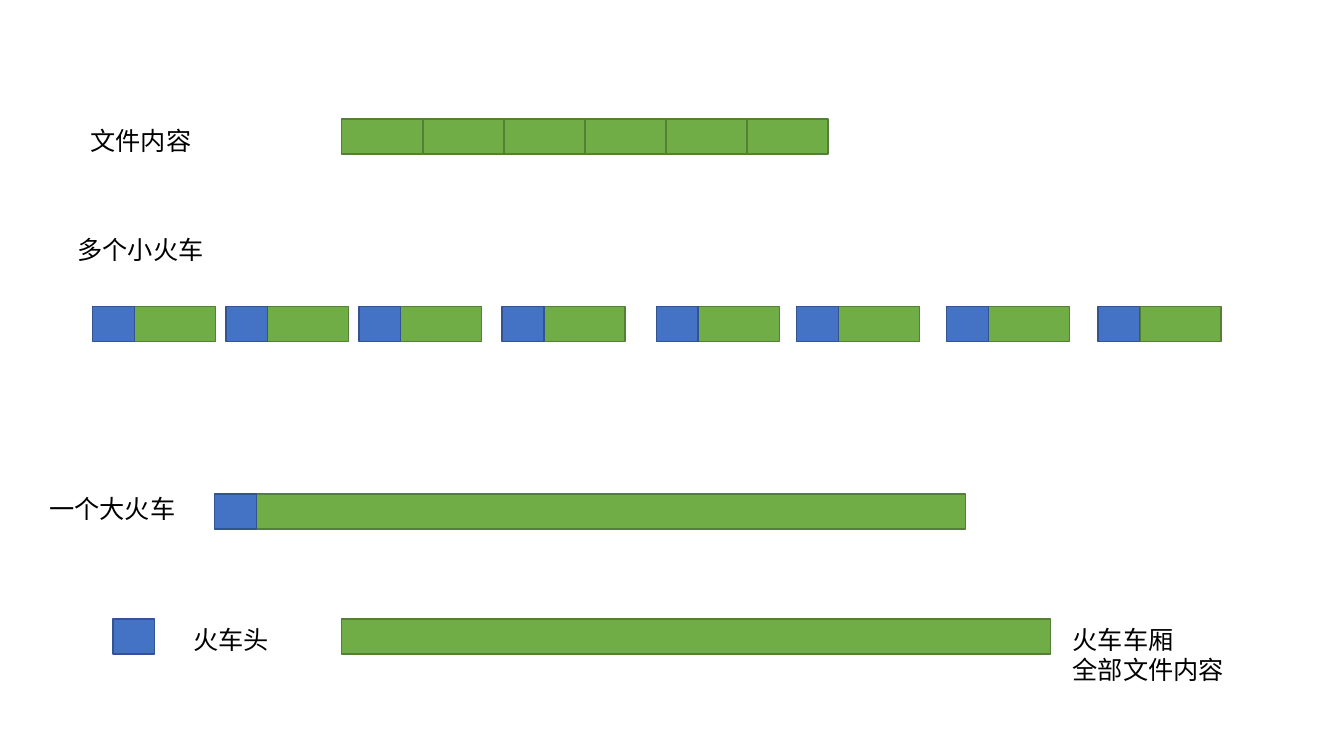
from lxml import etree
from pptx import Presentation
from pptx.dml.color import RGBColor
from pptx.enum.shapes import MSO_SHAPE
from pptx.enum.text import MSO_AUTO_SIZE
from pptx.oxml.ns import qn
from pptx.util import Inches, Pt

RECT = MSO_SHAPE.RECTANGLE
GROW = MSO_AUTO_SIZE.SHAPE_TO_FIT_TEXT
FONT = "Noto Sans CJK SC"
COLORS = {
    "head": "4472C4",
    "head_edge": "325491",
    "car": "70AD47",
    "car_edge": "538035",
    "text": "000000",
}
HEAD = 0.415
CAR = 0.804
LONG = 7.03
HIGH = 0.35
FILE_TOP = 1.18
SMALL_TOP = 3.04
BIG_TOP = 4.9
KEY_TOP = 6.14
BAR_LEFT = 3.39
TRAINS = [0.92, 2.24, 3.56, 4.98, 6.51, 7.9, 9.39, 10.89]
LABELS = [
    (0.8, 1.19, 1.21, 0.4, ["文件内容"]),
    (0.67, 2.28, 1.46, 0.4, ["多个小火车"]),
    (0.39, 4.84, 1.46, 0.4, ["一个大火车"]),
    (1.82, 6.14, 0.96, 0.4, ["火车头"]),
    (10.54, 6.14, 1.72, 0.71, ["火车车厢", "全部文件内容"]),
]


def color(name):
    return RGBColor.from_string(COLORS[name])


def add_block(slide, kind, left, top, width):
    block = slide.shapes.add_shape(
        RECT, Inches(left), Inches(top), Inches(width), Inches(HIGH))
    block.shadow.inherit = False
    block.fill.solid()
    block.fill.fore_color.rgb = color(kind)
    block.line.color.rgb = color(kind + "_edge")
    block.line.width = Pt(1)


def add_train(slide, left, top, width):
    add_block(slide, "car", left + HEAD, top, width)
    add_block(slide, "head", left, top, HEAD)


def add_label(slide, left, top, width, height, lines):
    box = slide.shapes.add_textbox(
        Inches(left), Inches(top), Inches(width), Inches(height))
    frame = box.text_frame
    frame.word_wrap = False
    frame.auto_size = GROW
    for i, line in enumerate(lines):
        para = frame.add_paragraph() if i else frame.paragraphs[0]
        run = para.add_run()
        run.text = line
        run.font.size = Pt(18)
        run.font.color.rgb = color("text")
        run.font.name = FONT
        props = run._r.get_or_add_rPr()
        etree.SubElement(props, qn("a:ea")).set("typeface", FONT)


def main():
    deck = Presentation()
    deck.slide_width = Inches(13.33)
    deck.slide_height = Inches(7.5)
    slide = deck.slides.add_slide(deck.slide_layouts[6])

    for i in range(6):
        add_block(slide, "car", BAR_LEFT + i * CAR, FILE_TOP, CAR)
    for left in TRAINS:
        add_train(slide, left, SMALL_TOP, CAR)
    add_train(slide, 2.13, BIG_TOP, LONG)
    add_block(slide, "head", 1.12, KEY_TOP, HEAD)
    add_block(slide, "car", BAR_LEFT, KEY_TOP, LONG)
    for label in LABELS:
        add_label(slide, *label)

    deck.save("out.pptx")


if __name__ == "__main__":
    main()
